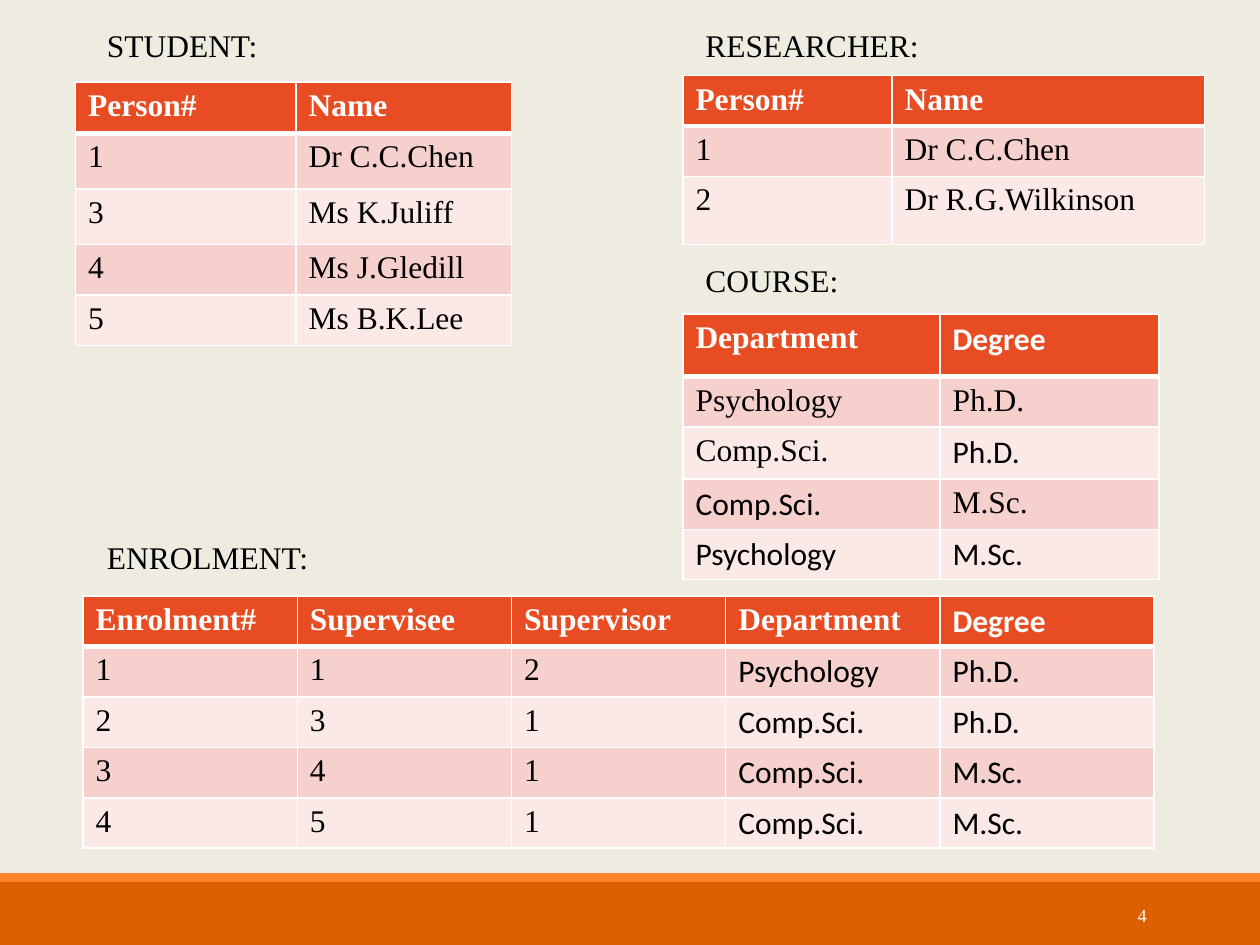
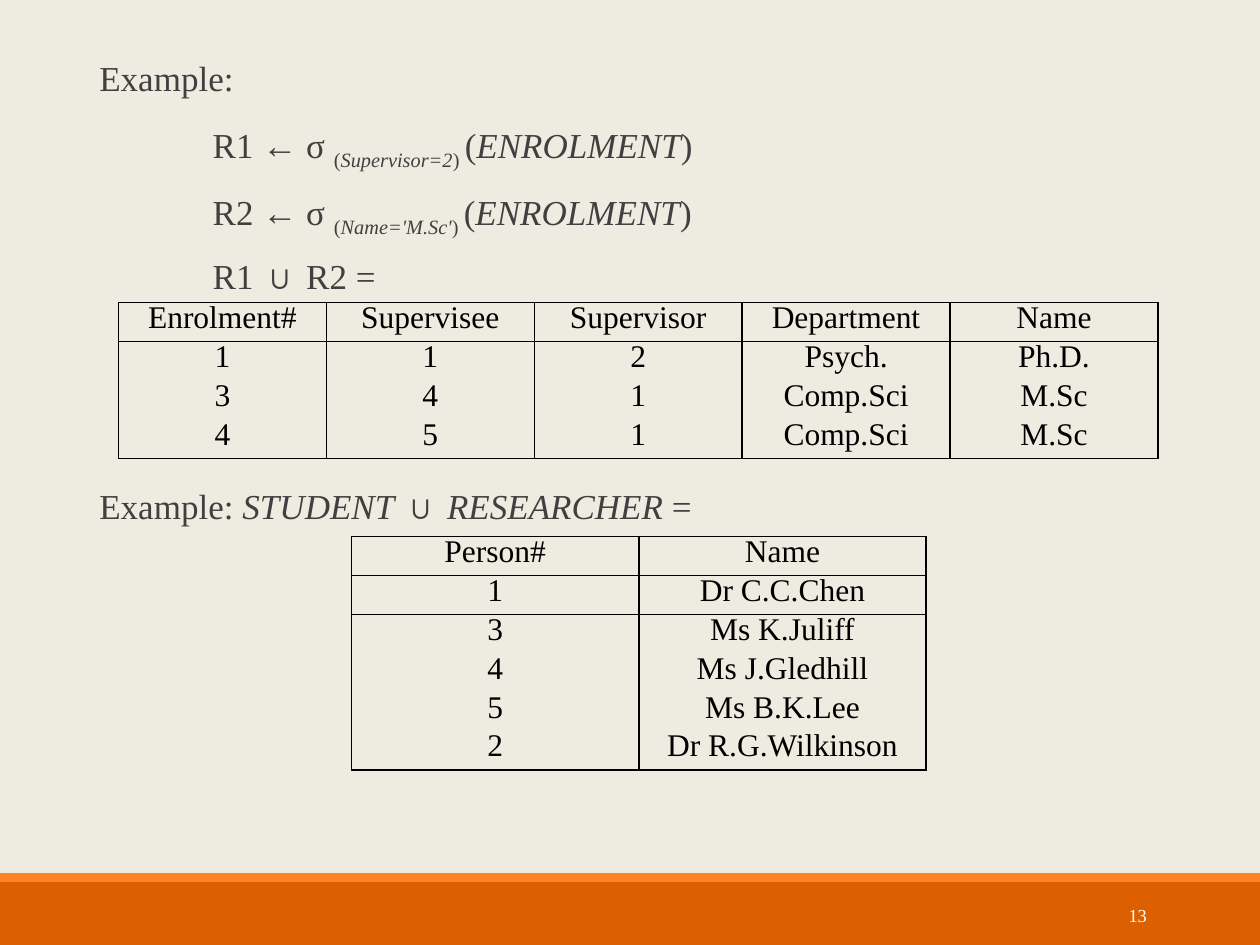
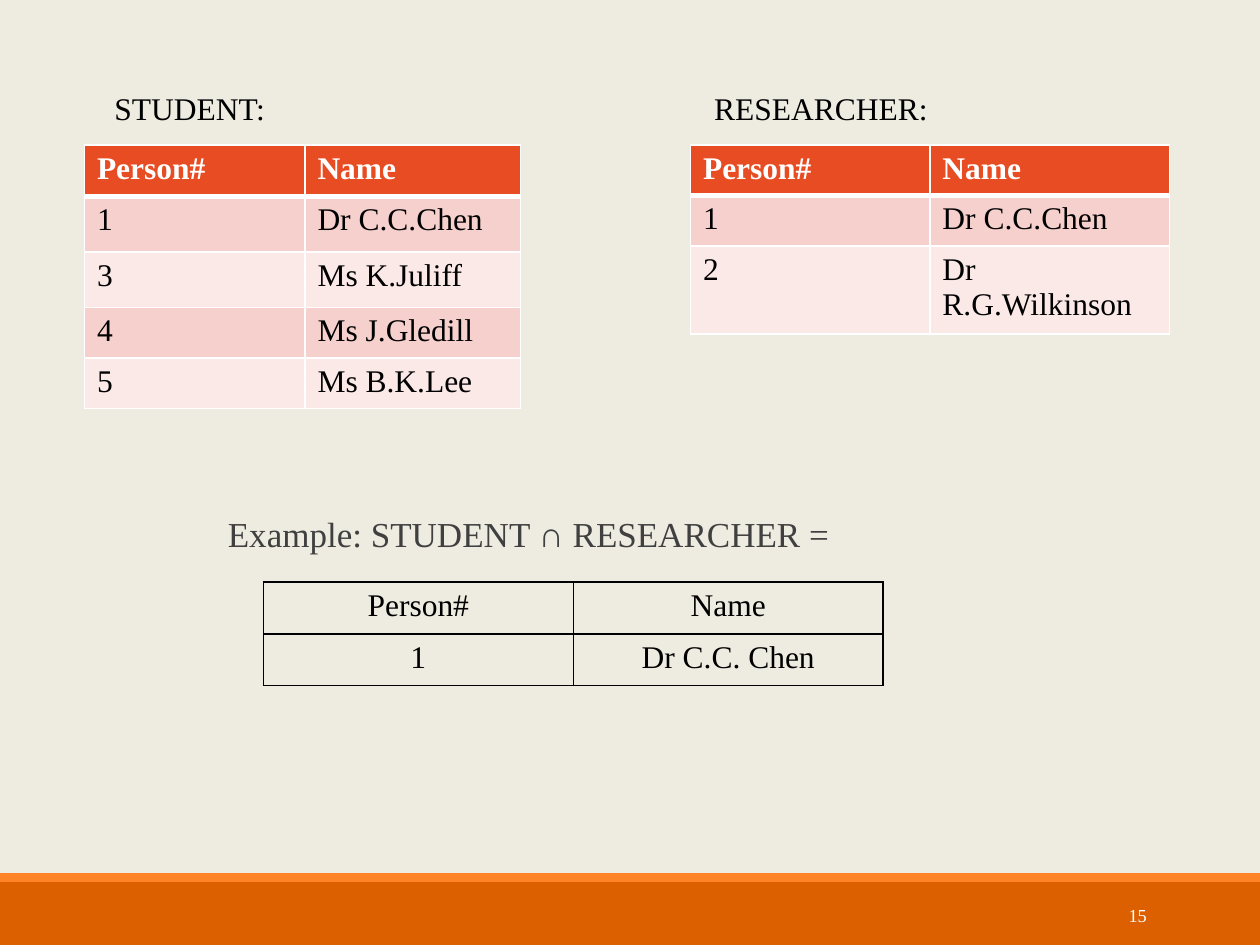
"""Build three relational algebra slides with relation tables and set operations."""
from lxml import etree
from pptx import Presentation
from pptx import util as u
from pptx.dml.color import RGBColor
from pptx.enum import shapes, text
from pptx.oxml.ns import qn

PAPER = RGBColor(0xEE, 0xEC, 0xE1)
BAND = RGBColor(0xDC, 0x5F, 0x00)
STRIPE = RGBColor(0xFF, 0x84, 0x27)
HEADER = RGBColor(0xE8, 0x4C, 0x22)
ROSE = RGBColor(0xF6, 0xD0, 0xCD)
BLUSH = RGBColor(0xFB, 0xE9, 0xE8)
WHITE = RGBColor(0xFF, 0xFF, 0xFF)
BLACK = RGBColor(0, 0, 0)
GREY = RGBColor(0x40, 0x40, 0x40)
SERIF, SANS = "Times New Roman", "Calibri"

STUDENT = dict(
    cols=[1.75, 1.71], rows=[0.41, 0.44, 0.44, 0.4, 0.4], height=2.1,
    data=[("Person#", "Name"), ("1", "Dr\u00a0C.C.Chen"), ("3", "Ms K.Juliff"),
          ("4", "Ms J.Gledill"), ("5", "Ms B.K.Lee")])
RESEARCHER = dict(
    cols=[1.66, 2.48], rows=[0.34, 0.34, 0.54], height=1.34,
    data=[("Person#", "Name"), ("1", "Dr C.C.Chen"), ("2", "Dr R.G.Wilkinson")])
RESEARCHER_NARROW = dict(RESEARCHER, cols=[1.9] * 2, rows=[0.4] * 3, height=1.5)
COURSE = dict(
    cols=[2.04, 1.74], rows=[0.5, 0.4, 0.41, 0.4, 0.4], height=2.12,
    sans={(0, 1), (2, 1), (3, 0), (4, 0), (4, 1)},
    data=[("Department", "Degree"), ("Psychology", "Ph.D."), ("Comp.Sci.", "Ph.D.\u00a0"),
          ("Comp.Sci.", "M.Sc."), ("Psychology", "M.Sc.")])
ENROLMENT = dict(
    cols=[1.7] * 5, rows=[0.39] * 5, height=2,
    sans={(0, 4)} | {(r, c) for r in range(1, 5) for c in (3, 4)},
    data=[("Enrolment#", "Supervisee", "Supervisor", "Department", "Degree"),
          ("1", "1", "2", "Psychology", "Ph.D.\u00a0"),
          ("2", "3", "1", "Comp.Sci.", "Ph.D.\u00a0"),
          ("3", "4", "1", "Comp.Sci.", "M.Sc."),
          ("4", "5", "1", "Comp.Sci.", "M.Sc.")])
SELECTION_UNION = dict(
    cols=[1.65] * 5, rows=[0.31] * 4, height=1.26, ruled={0}, leading=15,
    data=[("Enrolment#", "Supervisee", "Supervisor", "Department", "Name"),
          ("1", "1", "2", "Psych.", "Ph.D."),
          ("3", "4", "1", "Comp.Sci", "M.Sc"),
          ("4", "5", "1", "Comp.Sci", "M.Sc")])
PERSON_UNION = dict(
    cols=[2.28] * 2, rows=[0.26] * 6, height=1.89, ruled={0, 1}, leading=15,
    data=[("Person#", "Name"), ("1", "Dr C.C.Chen"), ("3", "Ms K.Juliff"),
          ("4", "Ms J.Gledhill"), ("5", "Ms B.K.Lee"), ("2", "Dr R.G.Wilkinson")])
INTERSECTION = dict(
    cols=[2.46] * 2, rows=[0.41] * 2, height=0.81, ruled={0},
    data=[("Person#", "Name"), ("1", "Dr C.C. Chen")])


def selection(name, condition):
    """Return the runs of one selection on ENROLMENT, each with its style flags."""
    return [(f"{name} ← σ ", ""), ("(", "s"), (condition, "si"), (") ", "s"),
            ("(", ""), ("ENROLMENT", "i"), (")", "")]


UNION_TEXT = [
    (0.1, 12, [("Example:", "")]),
    (1, 12, selection("R1", "Supervisor=2")),
    (1, 12, selection("R2", "Name='M.Sc'")),
    (1, 12, [("R1 ∪ R2 =", "")]),
    (0.1, 108, [("Example: ", ""), ("STUDENT", "i"), (" ∪ ", ""),
                ("RESEARCHER", "i"), (" =", "")])]
INTERSECTION_TEXT = [(0.1, 12, [("Example: STUDENT ∩ RESEARCHER =", "")])]

SLIDES = [
    dict(number="4",
         labels=[("STUDENT:", 0.75, 0.16), ("RESEARCHER:", 5.5, 0.16),
                 ("COURSE:", 5.5, 2.02), ("ENROLMENT:", 0.75, 4.22)],
         tables=[(RESEARCHER, 5.42, 0.6), (STUDENT, 0.6, 0.65),
                 (COURSE, 5.42, 2.49), (ENROLMENT, 0.66, 4.73)]),
    dict(number="13", body=(UNION_TEXT, 0.59, 0.44, 9, 6.54),
         tables=[(SELECTION_UNION, 0.94, 2.4), (PERSON_UNION, 2.79, 4.26)]),
    dict(number="15", body=(INTERSECTION_TEXT, 1.61, 4.06, 5.98, 2.8),
         labels=[("STUDENT:", 0.81, 0.66), ("RESEARCHER:", 5.57, 0.66)],
         tables=[(INTERSECTION, 2.09, 4.62), (RESEARCHER_NARROW, 5.48, 1.15),
                 (STUDENT, 0.67, 1.15)]),
]


def set_all(obj, **values):
    for name, value in values.items():
        setattr(obj, name, value)


def add_run(p, words, size=18, color=BLACK, font=SERIF, bold=False, italic=False):
    r = p.add_run()
    r.text = words
    set_all(r.font, name=font, size=u.Pt(size), bold=bold, italic=italic)
    r.font.color.rgb = color
    return r


def add_band(s, top, height, color):
    sp = s.shapes.add_shape(shapes.MSO_SHAPE.RECTANGLE, 0, u.Inches(top),
                            prs.slide_width, u.Inches(height))
    sp.shadow.inherit = False
    sp.fill.solid()
    sp.fill.fore_color.rgb = color
    sp.line.fill.background()


def add_text(s, x, y, w, h):
    tf = s.shapes.add_textbox(*map(u.Inches, (x, y, w, h))).text_frame
    tf.word_wrap = True
    return tf


def add_body(s, paragraphs, x, y, w, h):
    tf = add_text(s, x, y, w, h)
    for i, (indent, before, runs) in enumerate(paragraphs):
        p = tf.add_paragraph() if i else tf.paragraphs[0]
        set_all(p, line_spacing=0.9, space_before=u.Pt(before), space_after=u.Pt(2))
        p._p.get_or_add_pPr().set("marL", str(u.Inches(indent)))
        for words, style in runs:
            r = add_run(p, words, 20, GREY, italic="i" in style)
            if "s" in style:
                r.font._element.set("baseline", "-25000")


def set_borders(cell, color, widths):
    for side, width in zip("LRTB", widths):
        ln = etree.SubElement(cell._tc.get_or_add_tcPr(), qn(f"a:ln{side}"))
        if width:
            ln.set("w", str(u.Pt(width)))
            fill = etree.SubElement(ln, qn("a:solidFill"))
            etree.SubElement(fill, qn("a:srgbClr")).set("val", str(color))
        else:
            etree.SubElement(ln, qn("a:noFill"))


def style_filled(cell, row):
    set_borders(cell, WHITE, (1, 1, 3 if row == 1 else 1, 1 if row else 3))
    cell.fill.solid()
    cell.fill.fore_color.rgb = (ROSE if row % 2 else BLUSH) if row else HEADER


def style_ruled(cell, row, ruled, last):
    set_borders(cell, BLACK, (1, 1, row == 0 or row - 1 in ruled, row == last or row in ruled))
    cell.fill.background()


def add_relation(s, relation, x, y):
    cols, rows, data = (relation[key] for key in ("cols", "rows", "data"))
    ruled = relation.get("ruled")
    frame = s.shapes.add_table(len(rows), len(cols), u.Inches(x), u.Inches(y),
                               u.Inches(sum(cols)), u.Inches(sum(rows)))
    table = frame.table
    set_all(table, first_row=False, horz_banding=False)
    for column, width in zip(table.columns, cols):
        column.width = u.Inches(width)
    for i, height in enumerate(rows):
        table.rows[i].height = u.Inches(height)
        for j, words in enumerate(data[i]):
            cell = table.cell(i, j)
            p = cell.text_frame.paragraphs[0]
            heading = not ruled and i == 0
            add_run(p, words, color=WHITE if heading else BLACK, bold=heading,
                    font=SANS if (i, j) in relation.get("sans", ()) else SERIF)
            if ruled:
                style_ruled(cell, i, ruled, len(rows) - 1)
                p.alignment = text.PP_ALIGN.CENTER
            else:
                style_filled(cell, i)
            if "leading" in relation:
                p.line_spacing = u.Pt(relation["leading"])
    frame.height = u.Inches(relation["height"])


def add_footer(s, number):
    add_band(s, 7, 0.5, BAND)
    add_band(s, 6.93, 0.07, STRIPE)
    tf = add_text(s, 8.12, 7.06, 1.08, 0.4)
    tf.vertical_anchor = text.MSO_ANCHOR.MIDDLE
    tf.paragraphs[0].alignment = text.PP_ALIGN.RIGHT
    add_run(tf.paragraphs[0], number, 10.5, WHITE)


prs = Presentation()
set_all(prs, slide_width=u.Inches(10), slide_height=u.Inches(7.5))
background = prs.slide_master.background.fill
background.solid()
background.fore_color.rgb = PAPER
for content in SLIDES:
    s = prs.slides.add_slide(prs.slide_layouts[6])
    add_footer(s, content["number"])
    if "body" in content:
        add_body(s, *content["body"])
    for relation, x, y in content["tables"]:
        add_relation(s, relation, x, y)
    for words, x, y in content.get("labels", ()):
        add_run(add_text(s, x, y, 3, 0.4).paragraphs[0], words)
prs.save("out.pptx")
